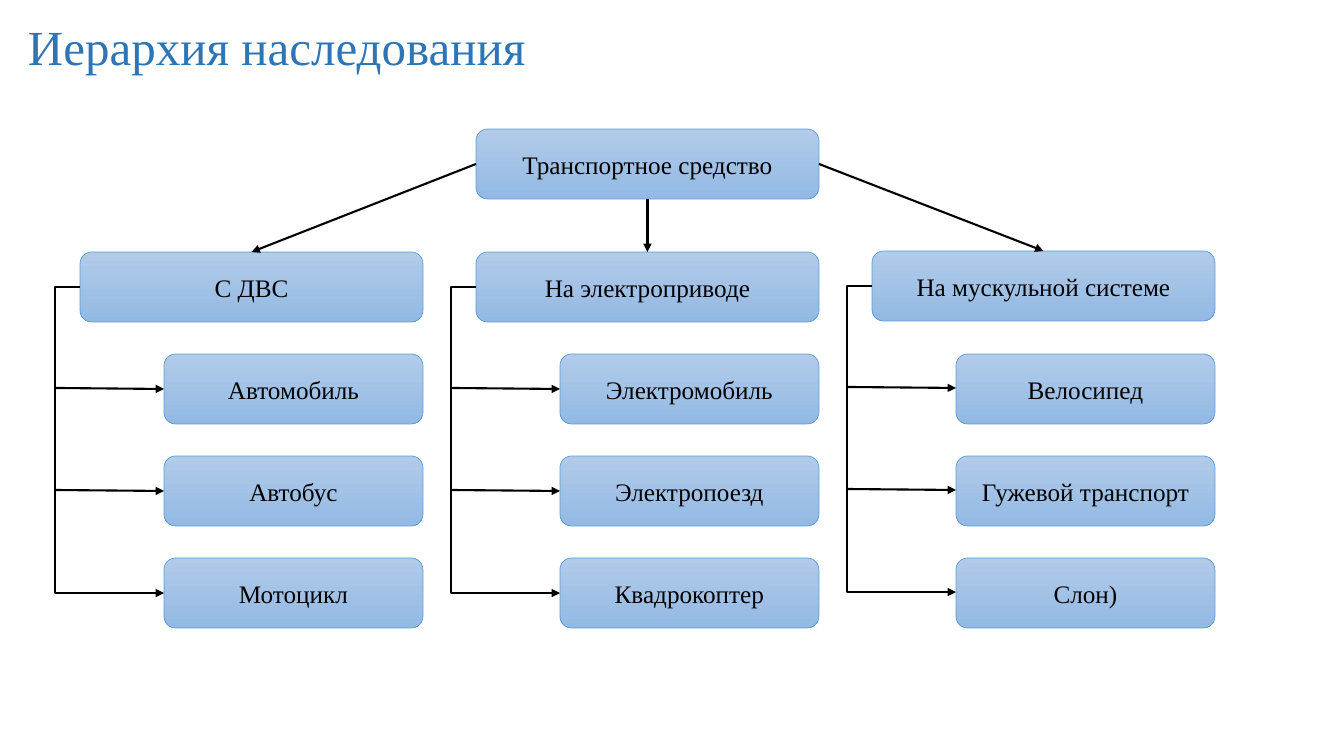
"""Build the slide showing an inheritance hierarchy of vehicles."""
import pptx
import pptx.dml.color
import pptx.enum.dml
import pptx.enum.shapes
import pptx.enum.text
import pptx.oxml
import pptx.oxml.ns
import pptx.util

SCALE = 914400 / 100.8
BOX_HEIGHT = 70
BRANCH_WIDTH = 343
LEAF_WIDTH = 259
LEAF_INDENT = BRANCH_WIDTH - LEAF_WIDTH
LEAF_TOP, LEAF_STEP = 354, 102
TRUNK_OFFSET = 25
TOP, LEFT, BOTTOM, RIGHT = range(4)
LABEL_FONT = {"name": "Times New Roman", "size": pptx.util.Pt(18)}
TITLE_FONT = {"name": "Times New Roman", "size": pptx.util.Pt(35)}
ROOT = ("Транспортное средство", 476, 129)
BRANCHES = [
    ("С ДВС", 80, 252, ["Автомобиль", "Автобус", "Мотоцикл"]),
    ("На электроприводе", 476, 252, ["Электромобиль", "Электропоезд", "Квадрокоптер"]),
    ("На мускульной системе", 872, 251, ["Велосипед", "Гужевой транспорт", "Слон)"]),
]


def color(value):
    return pptx.dml.color.RGBColor.from_string(value)


def emu(*pixels):
    return [round(pixel * SCALE) for pixel in pixels]


deck = pptx.Presentation()
deck.slide_width, deck.slide_height = emu(1344, 756)
page = deck.slides.add_slide(deck.slide_layouts[6])

title = page.shapes.add_textbox(*emu(18, 12, 522, 70))
title.text_frame.word_wrap = False
title.text_frame.auto_size = pptx.enum.text.MSO_AUTO_SIZE.SHAPE_TO_FIT_TEXT
span = title.text_frame.paragraphs[0].add_run()
span.text = "Иерархия наследования"
for name, value in TITLE_FONT.items():
    setattr(span.font, name, value)
span.font.color.rgb = color("2E75B6")

labels = [(*ROOT, BRANCH_WIDTH)]
labels += [(text, left, top, BRANCH_WIDTH) for text, left, top, leaves in BRANCHES]
for branch, left, top, leaves in BRANCHES:
    for row, text in enumerate(leaves):
        labels.append((text, left + LEAF_INDENT, LEAF_TOP + row * LEAF_STEP, LEAF_WIDTH))

boxes = []
for text, left, top, width in labels:
    box = page.shapes.add_shape(
        pptx.enum.shapes.MSO_SHAPE.ROUNDED_RECTANGLE, *emu(left, top, width, BOX_HEIGHT))
    box.shadow.inherit = False
    box.fill.gradient()
    box.fill.gradient_angle = 270
    for stop, value in zip(box.fill.gradient_stops, ["B1CBE9", "93B9E4"]):
        stop.color.rgb = color(value)
    box.line.color.rgb = color("5B9BD5")
    box.line.width = pptx.util.Pt(0.5)
    box.text_frame.vertical_anchor = pptx.enum.text.MSO_ANCHOR.MIDDLE
    para = box.text_frame.paragraphs[0]
    para.alignment = pptx.enum.text.PP_ALIGN.CENTER
    span = para.add_run()
    span.text = text
    for name, value in LABEL_FONT.items():
        setattr(span.font, name, value)
    span.font.color.rgb = color("000000")
    boxes.append(box)

straight = pptx.enum.shapes.MSO_CONNECTOR.STRAIGHT
elbow = pptx.enum.shapes.MSO_CONNECTOR.ELBOW
arrows = []
for branch_box, side in zip(boxes[1:4], [LEFT, BOTTOM, RIGHT]):
    arrow = page.shapes.add_connector(straight, 0, 0, 0, 0)
    arrow.begin_connect(boxes[0], side)
    arrow.end_connect(branch_box, TOP)
    arrows.append(arrow)

for branch, left, top, leaves in BRANCHES:
    middle = top + BOX_HEIGHT // 2
    leaf_left = left + LEAF_INDENT
    trunk = page.shapes.add_connector(
        elbow, *emu(left, middle, leaf_left, middle + 3 * LEAF_STEP))
    guides = trunk._element.spPr.find(pptx.oxml.ns.qn("a:prstGeom")).get_or_add_avLst()
    bend = round(-100000 * TRUNK_OFFSET / LEAF_INDENT)
    guides.append(pptx.oxml.parse_xml(
        f'<a:gd {pptx.oxml.ns.nsdecls("a")} name="adj1" fmla="val {bend}"/>'))
    arrows.append(trunk)
    for row in (1, 2):
        level = middle + row * LEAF_STEP
        arrows.append(page.shapes.add_connector(
            straight, *emu(left - TRUNK_OFFSET, level - 1, leaf_left, level)))

for arrow in arrows:
    arrow.line.color.rgb = color("000000")
    arrow.line.width = pptx.util.Pt(1.5)
    for markup in ('<a:tailEnd {} type="triangle"/>', "<a:effectLst {}/>"):
        element = pptx.oxml.parse_xml(markup.format(pptx.oxml.ns.nsdecls("a")))
        parent = arrow._element.spPr if "effectLst" in markup else arrow.line._get_or_add_ln()
        parent.append(element)

deck.save("out.pptx")
